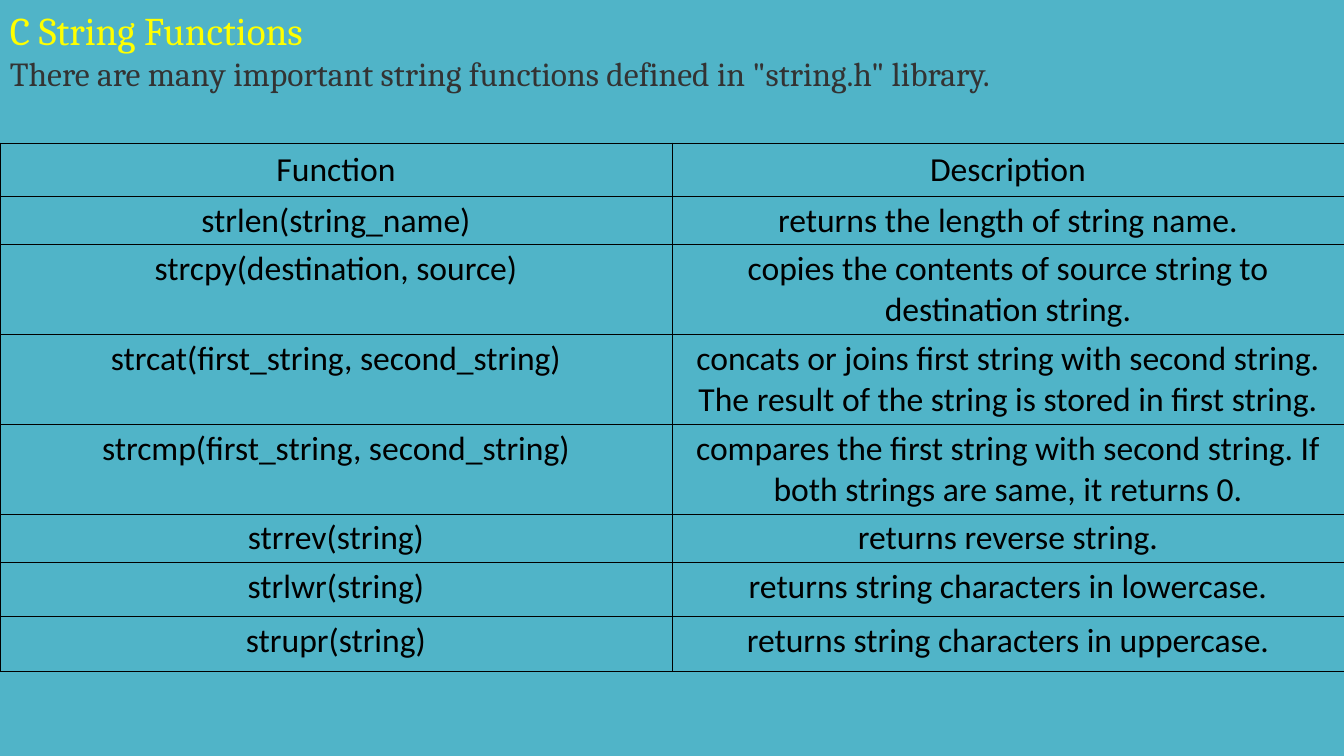
from lxml.etree import SubElement
from pptx import Presentation
from pptx.dml.color import RGBColor
from pptx.enum.text import MSO_ANCHOR, MSO_AUTO_SIZE, PP_ALIGN
from pptx.oxml.ns import qn
from pptx.util import Inches, Pt

TEAL = RGBColor(0x50, 0xB4, 0xC8)
YELLOW = RGBColor(0xFF, 0xFF, 0x00)
GRAY = RGBColor(0x33, 0x33, 0x33)
BLACK = RGBColor(0, 0, 0)

WIDTH = 13.33
TITLE = {"name": "Cambria", "size": Pt(28), "color": YELLOW}
INTRO = {"name": "Cambria", "size": Pt(24), "color": GRAY}
CELL = {"name": "Calibri", "size": Pt(24), "color": BLACK}

FUNCTIONS = [
    (0.53, "Function", "Description"),
    (0.48, "strlen(string_name)", "returns the length of string name."),
    (0.89, "strcpy(destination, source)",
     "copies the contents of source string to destination string."),
    (0.89, "strcat(first_string, second_string)",
     "concats or joins first string with second string. "
     "The result of the string is stored in first string."),
    (0.89, "strcmp(first_string, second_string)",
     "compares the first string with second string. "
     "If both strings are same, it returns 0."),
    (0.48, "strrev(string)", "returns reverse string."),
    (0.54, "strlwr(string)", "returns string characters in lowercase."),
    (0.54, "strupr(string)", "returns string characters in uppercase."),
]


def write(p, text, style, align):
    """Put one formatted run into a paragraph."""
    p.alignment = align
    r = p.add_run()
    r.text = text
    for key, value in style.items():
        if key == "color":
            r.font.color.rgb = value
        else:
            setattr(r.font, key, value)


def add_heading(s):
    """Add the title and the introductory sentence."""
    sp = s.shapes.add_textbox(0, Inches(0.01), Inches(WIDTH), Inches(0.98))
    tf = sp.text_frame
    tf.word_wrap = True
    tf.auto_size = MSO_AUTO_SIZE.SHAPE_TO_FIT_TEXT
    write(tf.paragraphs[0], "C String Functions", TITLE, PP_ALIGN.JUSTIFY)
    write(tf.add_paragraph(),
          'There are many important string functions defined in "string.h" library.',
          INTRO, PP_ALIGN.JUSTIFY)


def add_borders(cell):
    """Draw a thin black line on every side of a cell."""
    tc_pr = cell._tc.get_or_add_tcPr()
    for i, side in enumerate(("lnL", "lnR", "lnT", "lnB")):
        ln = SubElement(tc_pr, qn(f"a:{side}"), w=str(Pt(0.75)))
        fill = SubElement(ln, qn("a:solidFill"))
        SubElement(fill, qn("a:srgbClr"), val=str(BLACK))
        tc_pr.remove(ln)
        tc_pr.insert(i, ln)


def fill_cell(cell, text, inset):
    """Write a centred cell with a clear background."""
    for side in ("left", "right", "top", "bottom"):
        setattr(cell, f"margin_{side}", Inches(inset))
    cell.vertical_anchor = MSO_ANCHOR.TOP
    cell.fill.background()
    add_borders(cell)
    write(cell.text_frame.paragraphs[0], text, CELL, PP_ALIGN.CENTER)


def add_function_table(s):
    """Add the table of string functions."""
    height = sum(row[0] for row in FUNCTIONS)
    table = s.shapes.add_table(len(FUNCTIONS), 2, 0, Inches(1.42),
                               Inches(WIDTH), Inches(height)).table
    table.first_row = table.horz_banding = False
    for i, (row_height, *texts) in enumerate(FUNCTIONS):
        table.rows[i].height = Inches(row_height)
        for j, text in enumerate(texts):
            fill_cell(table.cell(i, j), text, 0.04 if i else 0.06)


def main():
    """Build and save the slide."""
    prs = Presentation()
    prs.slide_width, prs.slide_height = Inches(WIDTH), Inches(7.5)
    s = prs.slides.add_slide(prs.slide_layouts[6])
    s.background.fill.solid()
    s.background.fill.fore_color.rgb = TEAL
    add_heading(s)
    add_function_table(s)
    prs.save("out.pptx")


main()
